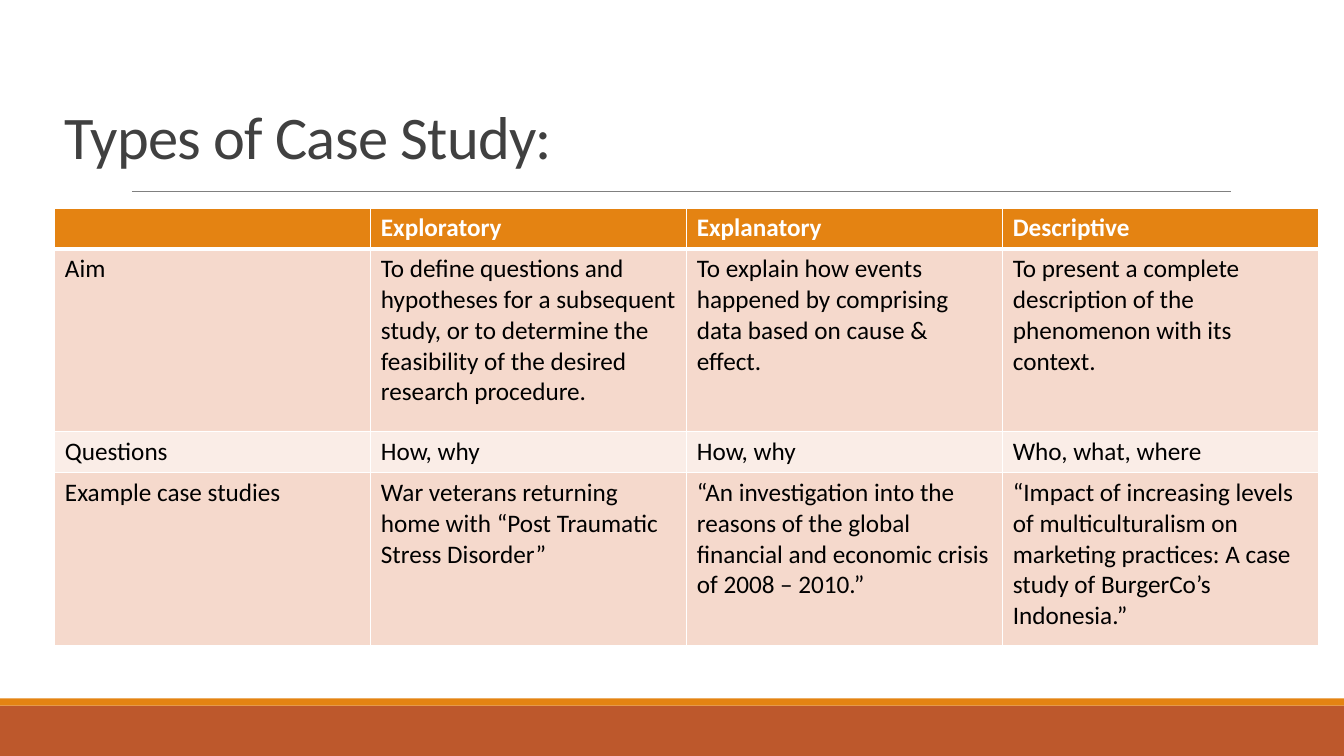
import lxml.etree
import pptx
import pptx.dml.color
import pptx.enum.shapes
import pptx.enum.text
import pptx.oxml
import pptx.oxml.ns
import pptx.util
from dataclasses import dataclass

Pt = pptx.util.Pt


@dataclass(frozen=True)
class Theme:
    font: str = "Calibri"
    title_size: float = 43.2
    body_size: float = 18
    title: str = "404040"
    text: str = "000000"
    white: str = "FFFFFF"
    orange: str = "E48312"
    rust: str = "BD582C"
    rule: str = "808080"
    band_dark: str = "F5D9CC"
    band_light: str = "FAEDE7"


@dataclass(frozen=True)
class Bar:
    top: float
    height: float
    color: str


@dataclass(frozen=True)
class Row:
    height: float
    fill: str
    cells: tuple[str, ...]
    header: bool = False


THEME = Theme()
SLIDE_W, SLIDE_H = 960, 540
TABLE_LEFT, TABLE_TOP, COL_W = 39.2, 148.5, 225.7

FOOTER = (
    Bar(504, 36, THEME.rust),
    Bar(498.9, 5.1, THEME.orange),
)

ROWS = (
    Row(29.2, THEME.orange, ("", "Exploratory", "Explanatory", "Descriptive"), header=True),
    Row(130.6, THEME.band_dark, (
        "Aim",
        "To define questions and hypotheses for a subsequent study, or to determine "
        "the feasibility of the desired research procedure.",
        "To explain how events happened by comprising data based on cause & effect.",
        "To present a complete description of the phenomenon with its context.",
    )),
    Row(29.2, THEME.band_light, ("Questions", "How, why", "How, why", "Who, what, where")),
    Row(123.4, THEME.band_dark, (
        "Example case studies",
        "War veterans returning home with “Post Traumatic Stress Disorder”",
        "“An investigation into the reasons of the global financial and economic "
        "crisis of 2008 – 2010.”",
        "“Impact of increasing levels of multiculturalism on marketing practices: "
        "A case study of BurgerCo’s Indonesia.”",
    )),
)


def rgb(color: str) -> pptx.dml.color.RGBColor:
    return pptx.dml.color.RGBColor.from_string(color)


def style_text(tf, size: float, color: str, bold: bool = False) -> None:
    for p in tf.paragraphs:
        for r in p.runs:
            r.font.name = THEME.font
            r.font.size = Pt(size)
            r.font.bold = bold
            r.font.color.rgb = rgb(color)


def add_bar(s, bar: Bar) -> None:
    sp = s.shapes.add_shape(pptx.enum.shapes.MSO_SHAPE.RECTANGLE,
                            0, Pt(bar.top), Pt(SLIDE_W), Pt(bar.height))
    sp.shadow.inherit = False
    sp.fill.solid()
    sp.fill.fore_color.rgb = rgb(bar.color)
    sp.line.fill.background()


def add_rule(s, left: float, right: float, y: float) -> None:
    line = s.shapes.add_connector(pptx.enum.shapes.MSO_CONNECTOR.STRAIGHT,
                                  Pt(left), Pt(y), Pt(right), Pt(y))
    line.line.color.rgb = rgb(THEME.rule)
    line.line.width = Pt(0.5)
    lxml.etree.SubElement(line._element.spPr, pptx.oxml.ns.qn("a:effectLst"))


def add_title(s, text: str) -> None:
    sp = s.shapes.add_textbox(Pt(39), Pt(80), Pt(701), Pt(46))
    tf = sp.text_frame
    tf.word_wrap = True
    tf.vertical_anchor = pptx.enum.text.MSO_ANCHOR.BOTTOM
    tf.text = text
    p = tf.paragraphs[0]
    p.line_spacing = 0.85
    style_text(tf, THEME.title_size, THEME.title)
    for r in p.runs:
        r._r.get_or_add_rPr().set("spc", "-50")


def set_borders(cell, top: float, bottom: float) -> None:
    tcPr = cell._tc.get_or_add_tcPr()
    widths = {"lnL": 1, "lnR": 1, "lnT": top, "lnB": bottom}
    for i, (side, width) in enumerate(widths.items()):
        tcPr.insert(i, pptx.oxml.parse_xml(
            f'<a:{side} {pptx.oxml.ns.nsdecls("a")} w="{int(Pt(width))}">'
            f'<a:solidFill><a:srgbClr val="{THEME.white}"/></a:solidFill></a:{side}>'))


def add_case_table(s, rows: tuple[Row, ...]) -> None:
    n_cols = len(rows[0].cells)
    frame = s.shapes.add_table(len(rows), n_cols, Pt(TABLE_LEFT), Pt(TABLE_TOP),
                               Pt(COL_W * n_cols), Pt(sum(row.height for row in rows)))
    table = frame.table
    table.horz_banding = False
    for col in table.columns:
        col.width = Pt(COL_W)
    for i, row in enumerate(rows):
        table.rows[i].height = Pt(row.height)
        below_header = i > 0 and rows[i - 1].header
        for j, text in enumerate(row.cells):
            cell = table.cell(i, j)
            cell.fill.solid()
            cell.fill.fore_color.rgb = rgb(row.fill)
            set_borders(cell, 3 if below_header else 1, 3 if row.header else 1)
            cell.text_frame.text = text
            style_text(cell.text_frame, THEME.body_size,
                       THEME.white if row.header else THEME.text, row.header)


def main() -> None:
    prs = pptx.Presentation()
    prs.slide_width, prs.slide_height = Pt(SLIDE_W), Pt(SLIDE_H)
    s = prs.slides.add_slide(prs.slide_layouts[6])

    # Footer bands and title rule
    for bar in FOOTER:
        add_bar(s, bar)
    add_rule(s, 94.3, 879, 136.8)

    # Title and comparison table
    add_title(s, "Types of Case Study:")
    add_case_table(s, ROWS)

    prs.save("out.pptx")


if __name__ == "__main__":
    main()
